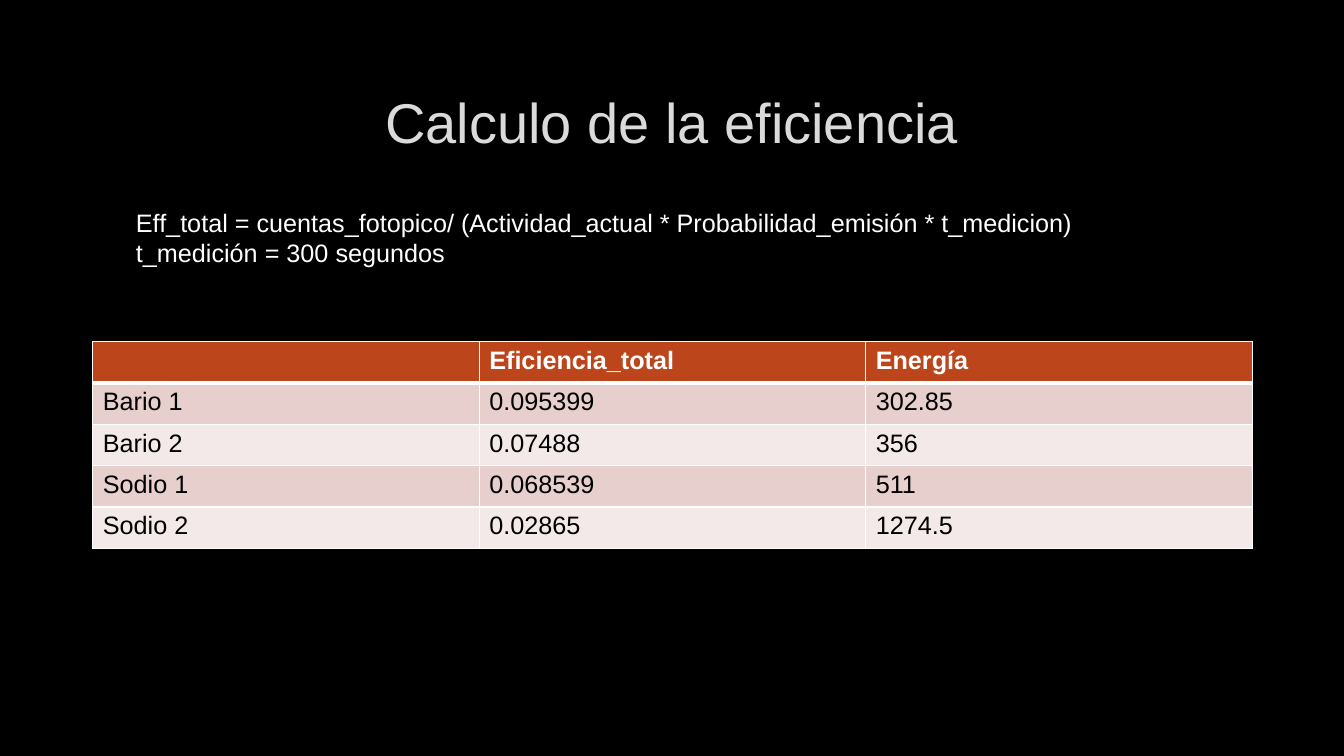
"""Build the efficiency calculation slide with its formula and results table."""
from lxml import etree
from pptx import Presentation
from pptx.dml.color import RGBColor
from pptx.enum.text import MSO_ANCHOR, PP_ALIGN
from pptx.oxml.ns import qn
from pptx.util import Inches, Pt

MIDDLE, TOP = MSO_ANCHOR.MIDDLE, MSO_ANCHOR.TOP
LEFT, CENTER = PP_ALIGN.LEFT, PP_ALIGN.CENTER

TITLE = ["Calculo de la eficiencia"]
FORMULA = [
    "Eff_total = cuentas_fotopico/ (Actividad_actual * Probabilidad_emisión * t_medicion)",
    "t_medición = 300 segundos",
]
RESULTS = [
    ("", "Eficiencia_total", "Energía"),
    ("Bario 1", "0.095399", "302.85"),
    ("Bario 2", "0.07488", "356"),
    ("Sodio 1", "0.068539", "511"),
    ("Sodio 2", "0.02865", "1274.5"),
]
COLORS = {
    "background": "000000",
    "title": "DADADA",
    "light": "FFFFFF",
    "dark": "000000",
    "header": "BC451B",
    "odd": "E7CFCD",
    "even": "F3E9E8",
}
FONT = "Arial"
TABLE_LEFT, TABLE_TOP, TABLE_WIDTH, ROW_HEIGHT = 0.92, 3.39, 11.5, 0.41


def rgb(name):
    return RGBColor.from_string(COLORS[name])


def add_run(p, text, size, color, bold=False):
    r = p.add_run()
    r.text = text
    r.font.name = FONT
    r.font.size = Pt(size)
    r.font.bold = bold
    r.font.color.rgb = rgb(color)


def add_text(slide, box, lines, size, color, align, anchor):
    tf = slide.shapes.add_textbox(*map(Inches, box)).text_frame
    tf.word_wrap = True
    tf.vertical_anchor = anchor
    for i, line in enumerate(lines):
        p = tf.paragraphs[0] if i == 0 else tf.add_paragraph()
        p.alignment = align
        add_run(p, line, size, color)


def set_borders(cell, widths):
    tc_pr = cell._tc.get_or_add_tcPr()
    for i, (side, width) in enumerate(widths.items()):
        ln = etree.Element(qn(f"a:ln{side}"), w=str(Pt(width)))
        fill = etree.SubElement(ln, qn("a:solidFill"))
        etree.SubElement(fill, qn("a:srgbClr"), val=COLORS["light"])
        tc_pr.insert(i, ln)


def add_results(slide):
    rows, cols = len(RESULTS), len(RESULTS[0])
    box = (TABLE_LEFT, TABLE_TOP, TABLE_WIDTH, ROW_HEIGHT * rows)
    table = slide.shapes.add_table(rows, cols, *map(Inches, box)).table
    for row in table.rows:
        row.height = Inches(ROW_HEIGHT)
    for i, values in enumerate(RESULTS):
        header = i == 0
        band = "header" if header else "odd" if i % 2 else "even"
        for j, value in enumerate(values):
            cell = table.cell(i, j)
            cell.fill.solid()
            cell.fill.fore_color.rgb = rgb(band)
            set_borders(cell, {"L": 1, "R": 1, "T": 3 if i == 1 else 1, "B": 3 if header else 1})
            if value:
                add_run(cell.text_frame.paragraphs[0], value, 18, "light" if header else "dark", header)


def main():
    prs = Presentation()
    prs.slide_width, prs.slide_height = Inches(13.33), Inches(7.5)
    s = prs.slides.add_slide(prs.slide_layouts[6])
    s.background.fill.solid()
    s.background.fill.fore_color.rgb = rgb("background")
    add_text(s, (1, 0.67, 11.32, 1.06), TITLE, 40, "title", CENTER, MIDDLE)
    add_results(s)
    add_text(s, (1.25, 2.01, 11.17, 1.01), FORMULA, 18, "light", LEFT, TOP)
    prs.save("out.pptx")


if __name__ == "__main__":
    main()
